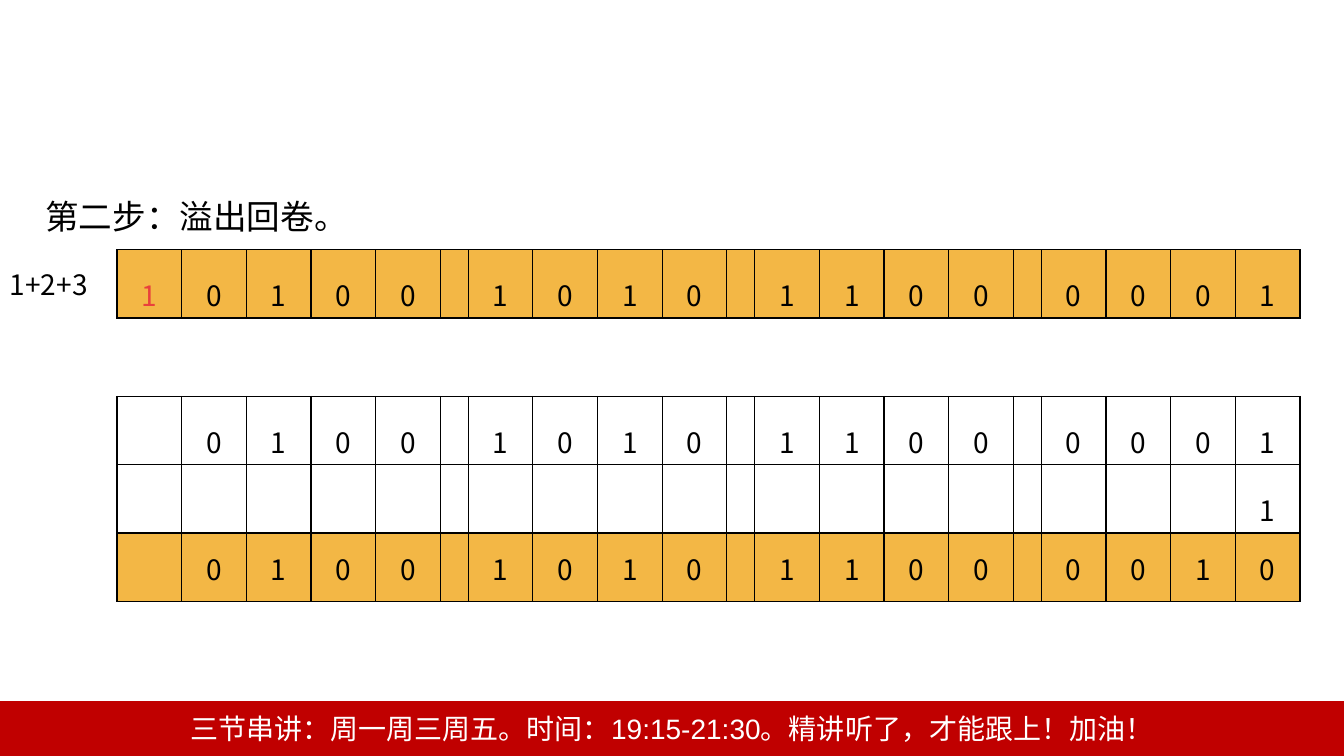
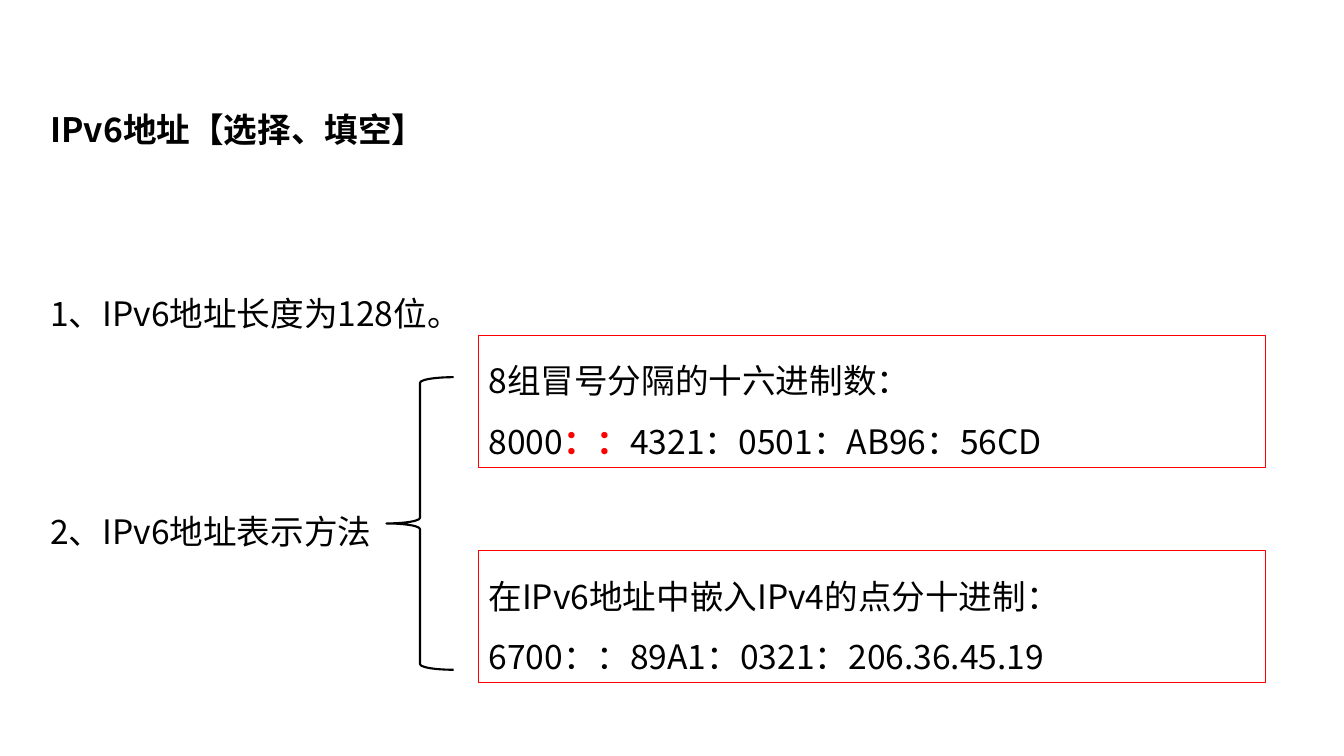
from lxml.etree import SubElement
from pptx import Presentation
from pptx.dml.color import RGBColor
from pptx.enum.shapes import MSO_SHAPE as Shape
from pptx.enum.text import MSO_ANCHOR as Anchor, MSO_AUTO_SIZE as AutoSize, PP_ALIGN as Align
from pptx.oxml import parse_xml
from pptx.oxml.ns import nsdecls, qn
from pptx.util import Pt

BLACK = RGBColor(0x00, 0x00, 0x00)
WHITE = RGBColor(0xFF, 0xFF, 0xFF)
RED = RGBColor(0xFF, 0x00, 0x00)
CARRY_RED = RGBColor(0xE9, 0x40, 0x3C)
BAND_RED = RGBColor(0xC0, 0x00, 0x00)
AMBER = RGBColor(0xF3, 0xB7, 0x45)
CJK_FONT = "Noto Sans CJK SC"


def style(paragraph, size=24, color=BLACK, bold=False, align=Align.LEFT, spacing=1.5, latin=CJK_FONT):
    paragraph.alignment = align
    paragraph.line_spacing = spacing
    font = paragraph.font
    font.size, font.bold, font.name = Pt(size), bold, latin
    font.color.rgb = color
    defaults = paragraph._p.find(".//" + qn("a:defRPr"))
    SubElement(defaults, qn("a:ea")).set("typeface", CJK_FONT)


def write(box, lines, **look):
    """Fill a box from the top; each line is a list of (text, is_red) spans."""
    frame = box.text_frame
    frame.word_wrap = True
    frame.auto_size = AutoSize.NONE
    frame.vertical_anchor = Anchor.TOP
    for index, spans in enumerate(lines):
        paragraph = frame.add_paragraph() if index else frame.paragraphs[0]
        for text, is_red in spans:
            span = paragraph.add_run()
            span.text = text
            if is_red:
                span.font.bold = True
                span.font.color.rgb = RED
        style(paragraph, **look)


deck = Presentation()
deck.slide_width, deck.slide_height = Pt(960), Pt(540)

# Titles of both slides
titles = [
    ("第二步：溢出回卷。", False, (25.2, 121.7, 286, 51)),
    ("IPv6地址【选择、填空】", True, (28.8, 59.8, 626.4, 46)),
]
pages = []
for text, bold, place in titles:
    page = deck.slides.add_slide(deck.slide_layouts[5])
    title = page.shapes.title
    title.left, title.top, title.width, title.height = map(Pt, place)
    write(title, [[(text, False)]], bold=bold)
    pages.append(page)
wrap_page, address_page = pages

# Slide 1: binary sums; a space in a row is an empty cell
WIDE, NARROW, ROW_HEIGHT = 46.2, 20, 48.8
GAP_COLUMNS = (5, 10, 15)
widths = [NARROW if column in GAP_COLUMNS else WIDE for column in range(20)]
# Each row: bits, fill, line spacing
sums = [
    (178.4, [("10100 1010 1100 0001", AMBER, 1.5)]),
    (283.2, [
        (" 0100 1010 1100 0001", None, 1.5),
        ("1".rjust(20), None, 1.5),
        (" 0100 1010 1100 0010", AMBER, 1.0),
    ]),
]
for top, rows in sums:
    table = wrap_page.shapes.add_table(
        len(rows), len(widths), Pt(83.6), Pt(top), Pt(sum(widths)), Pt(ROW_HEIGHT * len(rows))
    ).table
    table.first_row = table.horz_banding = False
    for column, width in zip(table.columns, widths):
        column.width = Pt(width)
    for row, (bits, fill, spacing) in zip(table.rows, rows):
        row.height = Pt(ROW_HEIGHT)
        for position, (cell, bit) in enumerate(zip(row.cells, bits)):
            cell.margin_left = cell.margin_right = cell.margin_top = Pt(0.75)
            cell.margin_bottom = 0
            cell.vertical_anchor = Anchor.MIDDLE
            if fill is None:
                cell.fill.background()
            else:
                cell.fill.solid()
                cell.fill.fore_color.rgb = fill
            cell.text = bit.strip()
            is_carry = position == 0
            style(cell.text_frame.paragraphs[0], size=20, color=CARRY_RED if is_carry else BLACK,
                  align=Align.CENTER, spacing=spacing)
            properties = cell._tc.get_or_add_tcPr()
            for order, side in enumerate("LRTB"):
                properties.insert(order, parse_xml(
                    f'<a:ln{side} {nsdecls("a")} w="12700"><a:solidFill>'
                    f'<a:srgbClr val="{BLACK}"/></a:solidFill></a:ln{side}>'))

sum_label = wrap_page.shapes.add_textbox(Pt(0), Pt(187.2), Pt(80), Pt(31.5))
write(sum_label, [[("1+2+3", False)]], size=20, spacing=1.0)

band = wrap_page.shapes.add_shape(Shape.RECTANGLE, Pt(0), Pt(501), Pt(960), Pt(39))
band.shadow.inherit = False
band.fill.solid()
band.fill.fore_color.rgb = BAND_RED
band.line.color.rgb = BAND_RED
band.line.width = Pt(1)
write(band, [[("三节串讲：周一周三周五。时间：19:15-21:30。精讲听了，才能跟上！加油！", False)]],
      size=20, color=WHITE, align=Align.CENTER, spacing=1.0, latin="Arial")
band.text_frame.vertical_anchor = Anchor.MIDDLE

# Slide 2: numbered points, brace and the two notations
points = [
    ("1、IPv6地址长度为128位。", 191.5, 787.7),
    ("2、IPv6地址表示方法", 347, 247),
]
for text, top, width in points:
    point = address_page.shapes.add_textbox(Pt(28.8), Pt(top), Pt(width), Pt(51))
    write(point, [[(text, False)]])

brace = address_page.shapes.add_shape(Shape.LEFT_BRACE, Pt(276), Pt(269.4), Pt(48), Pt(209))
brace.shadow.inherit = False
brace.fill.background()
brace.line.color.rgb = BLACK
brace.line.width = Pt(1.5)

notations = [
    (239.4, [
        [("8组冒号分隔的十六进制数：", False)],
        [("8000", False), ("：：", True), ("4321：0501：AB96：56CD", False)],
    ]),
    (393.2, [
        [("在IPv6地址中嵌入IPv4的点分十进制：", False)],
        [("6700：：89A1：0321：206.36.45.19", False)],
    ]),
]
for top, lines in notations:
    notation = address_page.shapes.add_shape(Shape.RECTANGLE, Pt(341.8), Pt(top), Pt(562), Pt(94.3))
    notation.shadow.inherit = False
    notation.fill.background()
    notation.line.color.rgb = RED
    notation.line.width = Pt(0.75)
    write(notation, lines)

deck.save("out.pptx")
